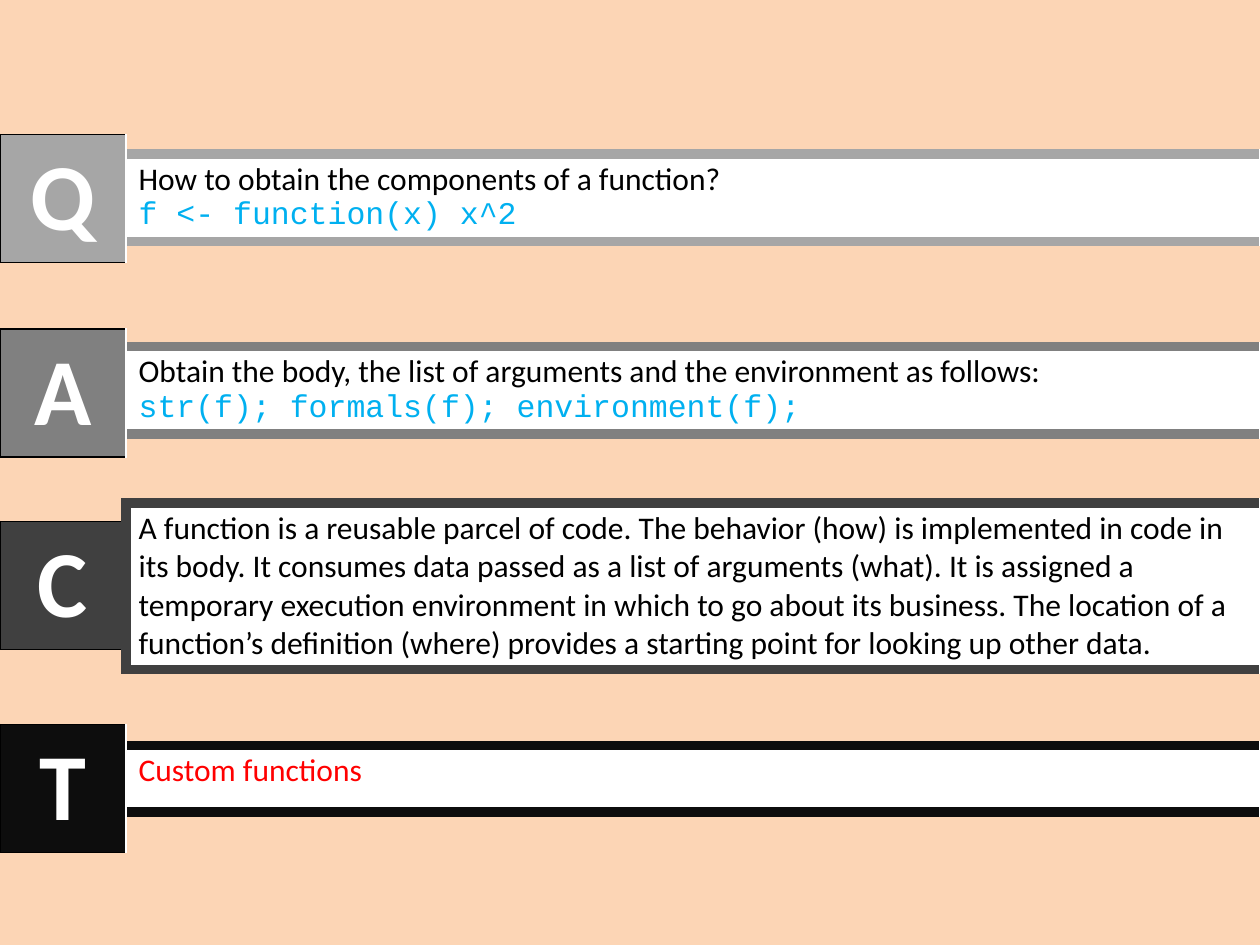
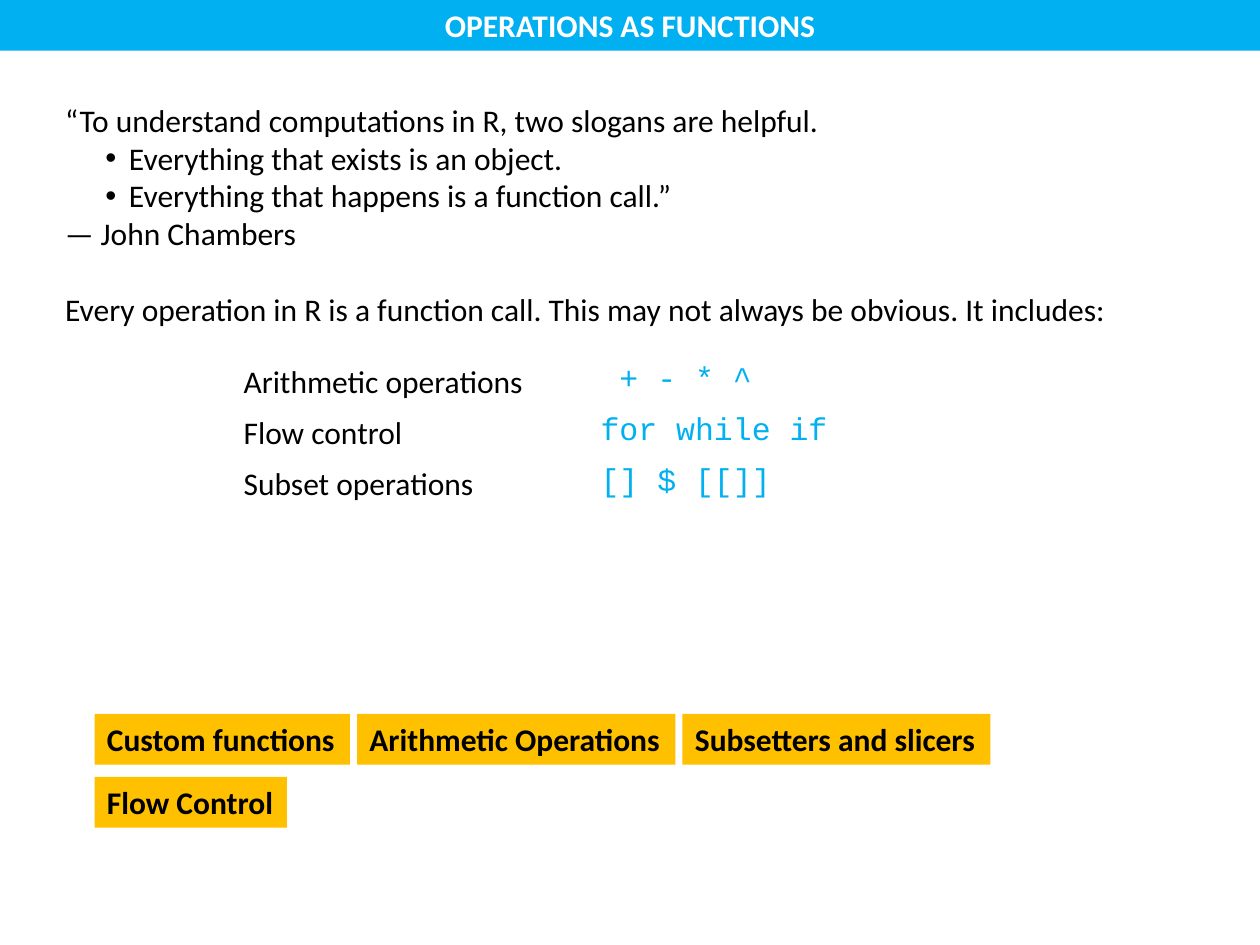
from lxml import etree
from pptx import Presentation
from pptx.dml.color import RGBColor
from pptx.enum.shapes import MSO_SHAPE
from pptx.enum.text import MSO_ANCHOR as ANCHOR, MSO_AUTO_SIZE as AUTO, PP_ALIGN as ALIGN
from pptx.oxml import parse_xml
from pptx.oxml.ns import nsdecls, qn
from pptx.util import Pt

COLORS = {
    "peach": "FCD5B5", "white": "FFFFFF", "black": "000000", "blue": "00B0F0",
    "red": "FF0000", "amber": "FFC000",
    "question": "A6A6A6", "answer": "808080", "context": "404040", "topic": "0D0D0D",
}
CODE = {"font": "Courier New", "color": "blue"}


def rgb(name):
    return RGBColor.from_string(COLORS[name])


def write(tf, text, font="Calibri", size=18, color="black", bold=False,
          align=ALIGN.LEFT, before=0, bullet=None):
    """Add a paragraph; bullet is True, False or None (keep the default)."""
    p = tf.add_paragraph() if tf.text else tf.paragraphs[0]
    p.alignment = align
    p.space_before = Pt(before)
    if bullet is not None:
        pPr = p._p.get_or_add_pPr()
        pPr.set("marL", str(Pt(36.5) if bullet else 0))
        pPr.set("indent", str(Pt(-13.5) if bullet else 0))
        mark = etree.SubElement(pPr, qn("a:buChar" if bullet else "a:buNone"))
        if bullet:
            mark.set("char", "•")
    r = p.add_run()
    r.text = text
    r.font.name, r.font.size, r.font.bold = font, Pt(size), bold
    r.font.color.rgb = rgb(color)


prs = Presentation()
prs.slide_width, prs.slide_height = Pt(720), Pt(540)

# Slide 1: lettered cards, each a badge table beside a text table
s = prs.slides.add_slide(prs.slide_layouts[6])
s.background.fill.solid()
s.background.fill.fore_color.rgb = rgb("peach")

# letter, shade, badge top, text top, text height, left border, lines
cards = [
    ("Q", "question", 77, 88, 50, ("white", 1),
     [("How to obtain the components of a function?", {}),
      ("f <- function(x) x^2", CODE)]),
    ("A", "answer", 188, 198, 50, ("white", 1),
     [("Obtain the body, the list of arguments and the environment as follows:", {}),
      ("str(f); formals(f); environment(f);", CODE)]),
    ("C", "context", 298, 287.5, 93.5, ("context", 6),
     [("A function is a reusable parcel of code. The behavior (how) is implemented "
       "in code in its body. It consumes data passed as a list of arguments (what). "
       "It is assigned a temporary execution environment in which to go about its "
       "business. The location of a function’s definition (where) provides a "
       "starting point for looking up other data.", {})]),
    ("T", "topic", 414, 426, 38, ("white", 1),
     [("Custom functions", {"color": "red"})]),
]
badge_style = {"size": 54, "color": "white", "bold": True, "align": ALIGN.CENTER}
for letter, shade, badge_top, text_top, text_height, left_line, lines in cards:
    thin, thick = ("black", 1), (shade, 6)
    parts = [
        (0, badge_top, 72, 72, shade, thin, thin, [(letter, badge_style)]),
        (72, text_top, 648, text_height, "white", left_line, thick, lines),
    ]
    for x, y, w, h, fill, left, edge, content in parts:
        table = s.shapes.add_table(1, 1, Pt(x), Pt(y), Pt(w), Pt(h)).table
        table.first_row = table.horz_banding = False
        cell = table.cell(0, 0)
        tcPr = cell._tc.get_or_add_tcPr()
        borders = {"L": left, "R": ("white", 1), "T": edge, "B": edge}
        for side, (color, width) in borders.items():
            tcPr.append(parse_xml(
                f'<a:ln{side} {nsdecls("a")} w="{Pt(width)}"><a:solidFill>'
                f'<a:srgbClr val="{COLORS[color]}"/></a:solidFill></a:ln{side}>'))
        cell.fill.solid()
        cell.fill.fore_color.rgb = rgb(fill)
        cell.vertical_anchor = ANCHOR.MIDDLE if x == 0 else ANCHOR.TOP
        for text, style in content:
            write(cell.text_frame, text, **style)

# Slide 2: title band
s = prs.slides.add_slide(prs.slide_layouts[1])
title, body = s.shapes.title, s.placeholders[1]
title.left, title.top, title.width, title.height = Pt(0), Pt(0), Pt(720), Pt(29)
title.fill.solid()
title.fill.fore_color.rgb = rgb("blue")
title.text_frame.auto_size = AUTO.NONE
write(title.text_frame, "OPERATIONS AS FUNCTIONS", color="white", bold=True,
      align=ALIGN.CENTER)

# Quotation
body.left, body.top, body.width, body.height = Pt(30), Pt(54), Pt(672), Pt(181)
tf = body.text_frame
tf.auto_size = AUTO.NONE
write(tf, "“To understand computations in R, two slogans are helpful.", bullet=False)
write(tf, "Everything that exists is an object.", bullet=True)
write(tf, "Everything that happens is a function call.”", bullet=True)
write(tf, "— John Chambers", bullet=False)
write(tf, "Every operation in R is a function call. This may not always be obvious. "
          "It includes:", bullet=False, before=22)

# Table of operations
operations = [
    ("Arithmetic operations", " + - * ^"),
    ("Flow control", "for while if"),
    ("Subset operations", "[] $ [[]]"),
]
table = s.shapes.add_table(3, 2, Pt(132), Pt(204), Pt(480), Pt(87.6)).table
table.first_row = table.horz_banding = False
table.columns[0].width, table.columns[1].width = Pt(204), Pt(276)
for row, texts in enumerate(operations):
    for col, text in enumerate(texts):
        cell = table.cell(row, col)
        cell.fill.background()
        write(cell.text_frame, text, **(CODE if col else {}))

# Topic tags
tags = [
    ("Custom functions", 54, 408, 146),
    ("Arithmetic Operations", 204, 408, 182),
    ("Subsetters and slicers", 390, 408, 176),
    ("Flow Control", 54, 444, 110),
]
for text, x, y, w in tags:
    sp = s.shapes.add_shape(MSO_SHAPE.RECTANGLE, Pt(x), Pt(y), Pt(w), Pt(29))
    sp.shadow.inherit = False
    sp.fill.solid()
    sp.fill.fore_color.rgb = rgb("amber")
    sp.line.fill.background()
    sp.text_frame.word_wrap = False
    write(sp.text_frame, text, bold=True)

prs.save("out.pptx")
